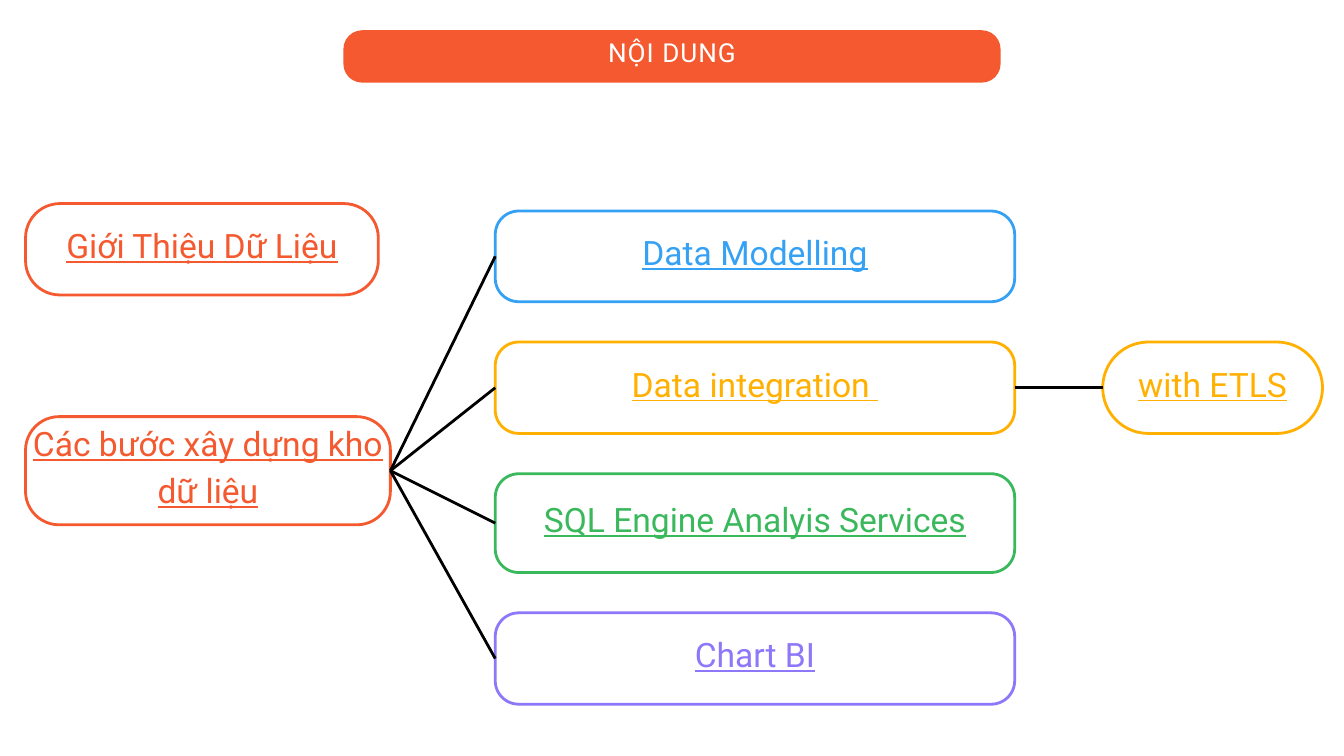
"""Builds the contents slide: topics as rounded boxes joined by lines."""
from lxml import etree
from pptx import Presentation
from pptx.dml.color import RGBColor
from pptx.enum.shapes import MSO_CONNECTOR, MSO_SHAPE
from pptx.enum.text import MSO_ANCHOR, PP_ALIGN
from pptx.oxml.ns import qn
from pptx.util import Emu, Pt

ORANGE, BLUE, YELLOW = "F4592F", "35A1F4", "FFB001"
GREEN, PURPLE, WHITE, BLACK = "3AB85C", "8E77F8", "FFFFFF", "000000"
LEFT_SITE, RIGHT_SITE = 1, 3


def px(length):
    return Emu(length * 9144)


def color(hex_value):
    return RGBColor.from_string(hex_value)


class Board:
    font = "Roboto"
    stroke = Pt(3)
    padding = px(6)

    def __init__(self, slide):
        self.slide = slide

    def box(self, left, top, width, height, radius, line=None, fill=None):
        outline = self.slide.shapes.add_shape(
            MSO_SHAPE.ROUNDED_RECTANGLE, px(left), px(top), px(width), px(height))
        outline.shadow.inherit = False
        outline.adjustments[0] = radius / min(width, height)
        if fill:
            outline.fill.solid()
            outline.fill.fore_color.rgb = color(fill)
        else:
            outline.fill.background()
        if line:
            outline.line.color.rgb = color(line)
            outline.line.width = self.stroke
        else:
            outline.line.fill.background()
        return outline

    def label(self, text, left, top, width, height, ink, size=36, spacing=None):
        label = self.slide.shapes.add_textbox(px(left), px(top), px(width), px(height))
        frame = label.text_frame
        frame.word_wrap = True
        frame.vertical_anchor = MSO_ANCHOR.MIDDLE
        frame.margin_left = frame.margin_right = self.padding
        frame.margin_top = frame.margin_bottom = self.padding
        frame.text = text
        paragraph = frame.paragraphs[0]
        paragraph.alignment = PP_ALIGN.CENTER
        paragraph.line_spacing = Pt(size * 1.4)
        run = paragraph.runs[0]
        run.font.name = self.font
        run.font.size = Pt(size)
        run.font.color.rgb = color(ink)
        if spacing:
            run.font._element.set("spc", str(spacing))
        else:
            run.font.underline = True

    def title(self, text, left, top, width, height, radius):
        self.box(left, top, width, height, radius, fill=ORANGE)
        self.label(text, left, top - 20, width, height + 20, WHITE, size=28, spacing=110)

    def topic(self, text, left, top, width, height, radius, ink):
        outline = self.box(left, top, width, height, radius, line=ink)
        self.label(text, left, top - 22, width, height + 22, ink)
        return outline

    def link(self, source, target):
        link = self.slide.shapes.add_connector(MSO_CONNECTOR.STRAIGHT, 0, 0, 0, 0)
        link.begin_connect(source, RIGHT_SITE)
        link.end_connect(target, LEFT_SITE)
        link.line.color.rgb = color(BLACK)
        link.line.width = self.stroke
        etree.SubElement(link._element.spPr, qn("a:effectLst"))


def main():
    deck = Presentation()
    deck.slide_width, deck.slide_height = px(2000), px(1125)
    board = Board(deck.slides.add_slide(deck.slide_layouts[6]))

    board.title("NỘI DUNG", 511, 45, 978, 78, 28)
    board.topic("Giới Thiệu Dữ Liệu", 38, 303, 525, 136, 51, ORANGE)
    steps = board.topic("Các bước xây dựng kho dữ liệu", 38, 620, 543, 161, 50, ORANGE)

    stages = {}
    top, gap = 314, 60
    for text, height, ink in (
        ("Data Modelling", 135, BLUE),
        ("Data integration ", 136, YELLOW),
        ("SQL Engine Analyis Services", 147, GREEN),
        ("Chart BI", 136, PURPLE),
    ):
        stages[text] = board.topic(text, 737, top, 773, height, 35, ink)
        board.link(steps, stages[text])
        top += height + gap

    integration = stages["Data integration "]
    tool = board.topic("with ETLS", 1641, 509, 327, 136, 68, YELLOW)
    board.link(integration, tool)

    deck.save("out.pptx")


if __name__ == "__main__":
    main()
